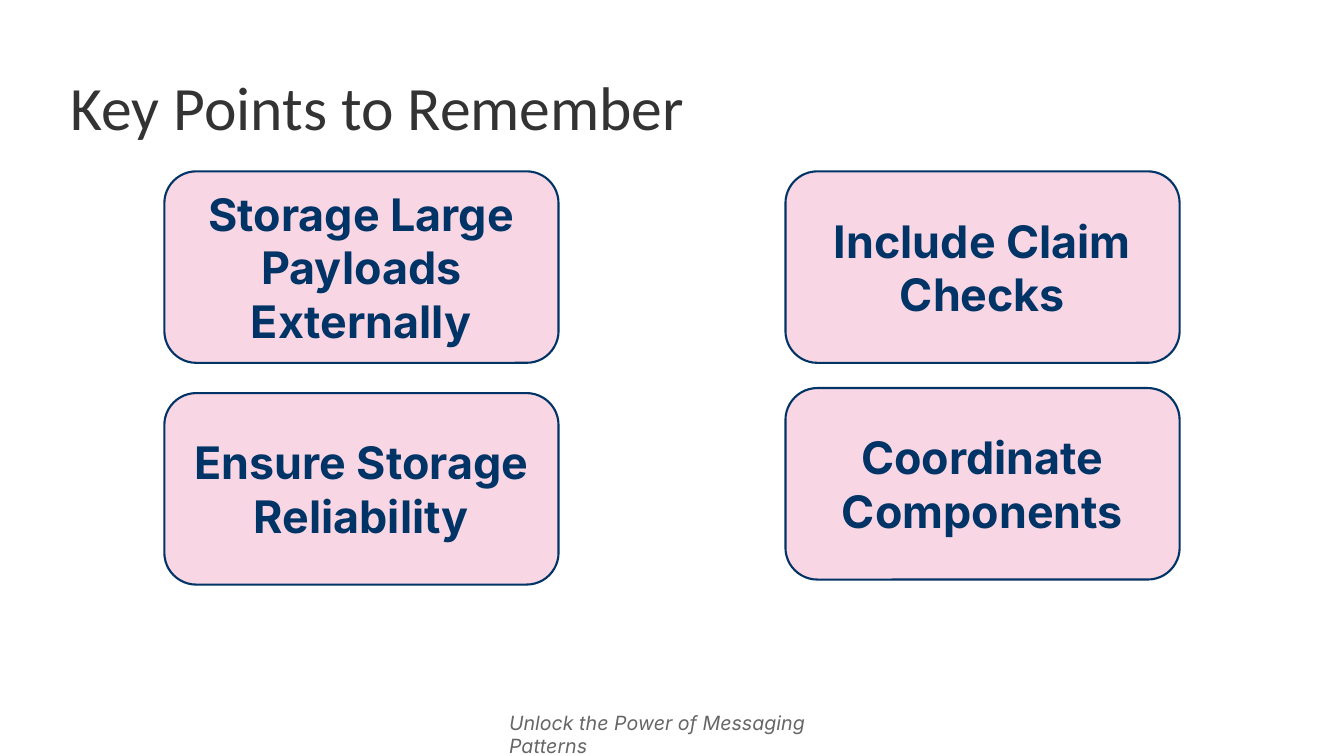
from lxml.etree import SubElement
from pptx import Presentation
from pptx.dml.color import RGBColor
from pptx.enum.shapes import MSO_SHAPE
from pptx.enum.text import MSO_ANCHOR, PP_ALIGN
from pptx.oxml.ns import qn
from pptx.util import Inches, Pt

COLORS = {"title": "333333", "navy": "003366", "pink": "DD3377", "grey": "666666"}
LEFT, TOP = 1.63, 1.7
CARD_W, CARD_H = 3.91, 1.9
COL_STEP = 6.16
COLUMNS = [
    (2.2, ["Storage Large Payloads Externally", "Ensure Storage Reliability"]),
    (2.15, ["Include Claim Checks", "Coordinate Components"]),
]


def color(name):
    """Return the named palette colour."""
    return RGBColor.from_string(COLORS[name])


def write(sp, text, size, fill, font="Inter", bold=False, italic=False,
          align=PP_ALIGN.LEFT, anchor=MSO_ANCHOR.TOP, spacing=None):
    """Put one formatted paragraph into a shape."""
    tf = sp.text_frame
    tf.word_wrap = True
    tf.vertical_anchor = anchor
    p = tf.paragraphs[0]
    p.alignment = align
    p.line_spacing = spacing
    r = p.add_run()
    r.text = text
    r.font.name, r.font.size = font, Pt(size)
    r.font.bold, r.font.italic = bold, italic
    r.font.color.rgb = color(fill)


def add_title(s, text):
    """Move and fill the title placeholder."""
    sp = s.shapes.title
    sp.left, sp.top, sp.width, sp.height = map(Inches, (0.6, 0.5, 12.14, 1.2))
    write(sp, text, 44, "title", font="Calibri", anchor=MSO_ANCHOR.MIDDLE, spacing=0.9)


def add_card(s, x, y, text):
    """Draw a translucent rounded card with a centred label."""
    sp = s.shapes.add_shape(MSO_SHAPE.ROUNDED_RECTANGLE,
                            *map(Inches, (x, y, CARD_W, CARD_H)))
    sp.shadow.inherit = False
    sp.fill.solid()
    sp.fill.fore_color.rgb = color("pink")
    srgb = sp._element.spPr.find(qn("a:solidFill")).find(qn("a:srgbClr"))
    SubElement(srgb, qn("a:alpha"), val="20000")
    sp.line.color.rgb = color("navy")
    sp.line.width = Pt(1.5)
    write(sp, text, 32, "navy", bold=True, align=PP_ALIGN.CENTER,
          anchor=MSO_ANCHOR.MIDDLE)


def add_tagline(s, text):
    """Add the italic line at the foot of the slide."""
    sp = s.shapes.add_textbox(*map(Inches, (4.95, 7, 3.42, 0.34)))
    write(sp, text, 14, "grey", italic=True)


def main():
    """Build and save the slide."""
    prs = Presentation()
    prs.slide_width, prs.slide_height = Inches(13.33), Inches(7.5)
    s = prs.slides.add_slide(prs.slide_layouts[5])
    add_tagline(s, "Unlock the Power of Messaging Patterns")
    add_title(s, "Key Points to Remember")
    for col, (row_step, labels) in enumerate(COLUMNS):
        for row, label in enumerate(labels):
            add_card(s, LEFT + col * COL_STEP, TOP + row * row_step, label)
    prs.save("out.pptx")


if __name__ == "__main__":
    main()
